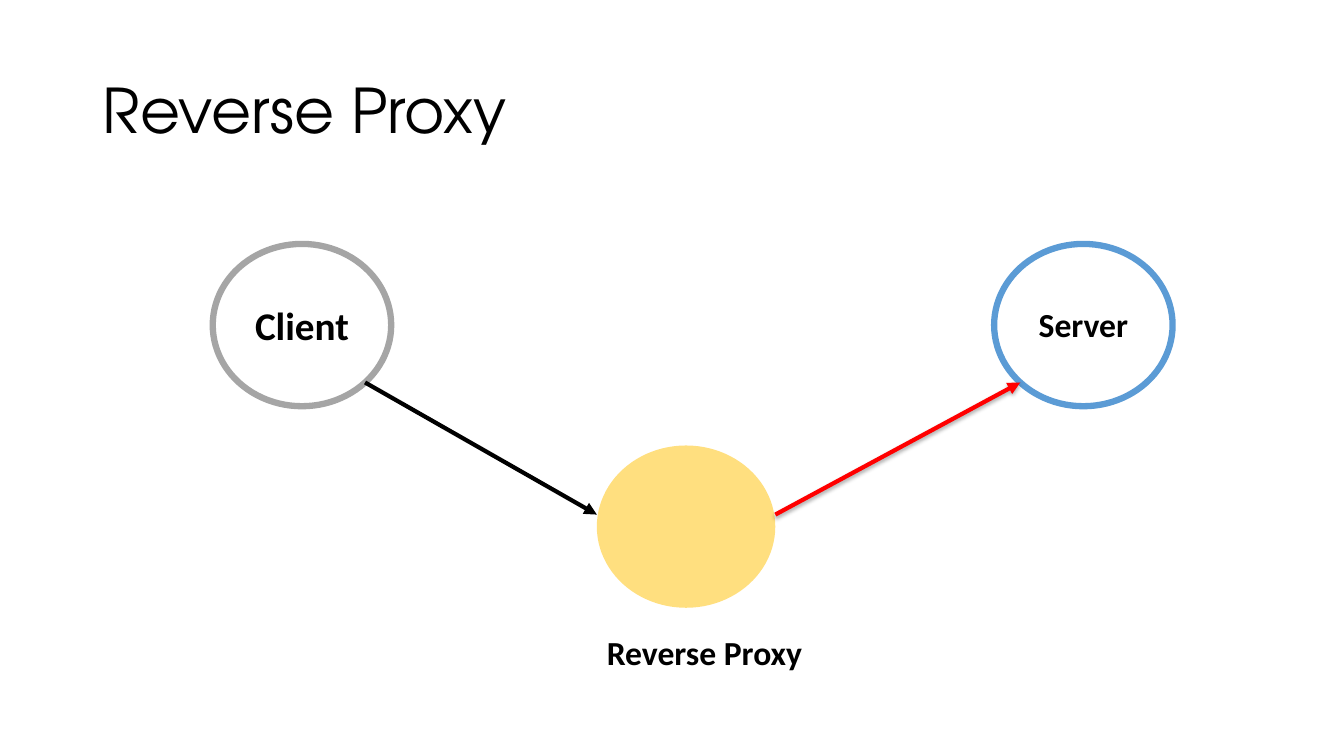
from dataclasses import dataclass
from math import sqrt

from lxml.etree import SubElement
from pptx import Presentation
from pptx.dml.color import RGBColor
from pptx.enum.shapes import MSO_CONNECTOR, MSO_SHAPE
from pptx.enum.text import MSO_ANCHOR, MSO_AUTO_SIZE, PP_ALIGN
from pptx.oxml.ns import qn
from pptx.util import Inches, Pt


@dataclass(frozen=True)
class Theme:
    ink: str = "000000"
    client: str = "A5A5A5"
    server: str = "5B9BD5"
    proxy: str = "FFC000"
    response: str = "FF0000"
    title_font: str = "TeX Gyre Adventor"
    body_font: str = "Calibri"
    title_size: int = 44
    large_size: int = 28
    label_size: int = 24
    ring_width: float = 4.5
    arrow_width: float = 3


@dataclass(frozen=True)
class Area:
    """A rectangle in percent of the slide's width and height."""
    left: float
    top: float
    width: float
    height: float

    def lower_point(self, side):
        """Point on the inscribed ellipse, 45 degrees below its side (-1 left, 1 right)."""
        reach = sqrt(0.5)
        return (self.left + self.width / 2 * (1 + side * reach),
                self.top + self.height / 2 * (1 + reach))


class SlideBuilder:
    def __init__(self, deck, theme):
        self.deck = deck
        self.theme = theme
        self.page = deck.slides.add_slide(deck.slide_layouts[5])

    def x(self, share):
        return round(self.deck.slide_width * share / 100)

    def y(self, share):
        return round(self.deck.slide_height * share / 100)

    def frame(self, area):
        return self.x(area.left), self.y(area.top), self.x(area.width), self.y(area.height)

    def add_text(self, shape, text, size, font, bold=False, align=PP_ALIGN.LEFT):
        para = shape.text_frame.paragraphs[0]
        para.alignment = align
        span = para.add_run()
        span.text = text
        span.font.name = font
        span.font.size = Pt(size)
        span.font.bold = bold
        span.font.color.rgb = RGBColor.from_string(self.theme.ink)
        return para

    def title(self, text, area):
        box = self.page.shapes.title
        box.left, box.top, box.width, box.height = self.frame(area)
        box.text_frame.vertical_anchor = MSO_ANCHOR.MIDDLE
        para = self.add_text(box, text, self.theme.title_size, self.theme.title_font)
        para.line_spacing = 0.9

    def label(self, text, area, align=PP_ALIGN.LEFT):
        box = self.page.shapes.add_textbox(*self.frame(area))
        box.text_frame.word_wrap = True
        box.text_frame.auto_size = MSO_AUTO_SIZE.SHAPE_TO_FIT_TEXT
        self.add_text(box, text, self.theme.label_size, self.theme.body_font, True, align)

    def circle(self, area):
        shape = self.page.shapes.add_shape(MSO_SHAPE.OVAL, *self.frame(area))
        shape.shadow.inherit = False
        return shape

    def ring(self, area, color, text=""):
        shape = self.circle(area)
        shape.fill.background()
        shape.line.color.rgb = RGBColor.from_string(color)
        shape.line.width = Pt(self.theme.ring_width)
        if text:
            shape.text_frame.vertical_anchor = MSO_ANCHOR.MIDDLE
            self.add_text(shape, text, self.theme.large_size, self.theme.body_font,
                          True, PP_ALIGN.CENTER)

    def disc(self, area, color, opacity):
        shape = self.circle(area)
        shape.line.fill.background()
        shape.fill.solid()
        shape.fill.fore_color.rgb = RGBColor.from_string(color)
        tint = shape._element.spPr.find(qn("a:solidFill"))[0]
        SubElement(tint, qn("a:alpha"), val=str(opacity * 1000))

    def arrow(self, start, end, color, shadow=False):
        line = self.page.shapes.add_connector(
            MSO_CONNECTOR.STRAIGHT, self.x(start[0]), self.y(start[1]),
            self.x(end[0]), self.y(end[1]))
        line.line.color.rgb = RGBColor.from_string(color)
        line.line.width = Pt(self.theme.arrow_width)
        properties = line._element.spPr
        SubElement(properties.find(qn("a:ln")), qn("a:tailEnd"), type="triangle")
        effects = SubElement(properties, qn("a:effectLst"))
        if shadow:
            cast = SubElement(effects, qn("a:outerShdw"), blurRad=str(Pt(3.1)),
                              dist=str(Pt(1.8)), dir="5400000", rotWithShape="0")
            shade = SubElement(cast, qn("a:srgbClr"), val=self.theme.ink)
            SubElement(shade, qn("a:alpha"), val="35000")


deck = Presentation()
deck.slide_width, deck.slide_height = Inches(13.33), Inches(7.5)
theme = Theme()
slide = SlideBuilder(deck, theme)

# Three equal nodes: the client and server share a row, the proxy sits below
node_size = (13.28, 21.47)
client = Area(15.83, 32.27, *node_size)
server = Area(73.97, 32.27, *node_size)
proxy = Area(44.41, 58.93, *node_size)

slide.title("Reverse Proxy", Area(6.9, 5.33, 86.27, 19.33))
slide.ring(client, theme.client, "Client")
slide.ring(server, theme.server)
slide.disc(proxy, theme.proxy, opacity=50)

# Request path through the proxy
port_y = 68.07
slide.arrow(client.lower_point(1), (proxy.left, port_y), theme.ink)
slide.arrow((proxy.left + proxy.width, port_y), server.lower_point(-1),
            theme.response, shadow=True)

# Labels
slide.label("Reverse Proxy", Area(proxy.left, 82.93, 17.25, 6.67))
slide.label("Server", Area(74.87, 39.6, 11.48, 6.67), PP_ALIGN.CENTER)

deck.save("out.pptx")
